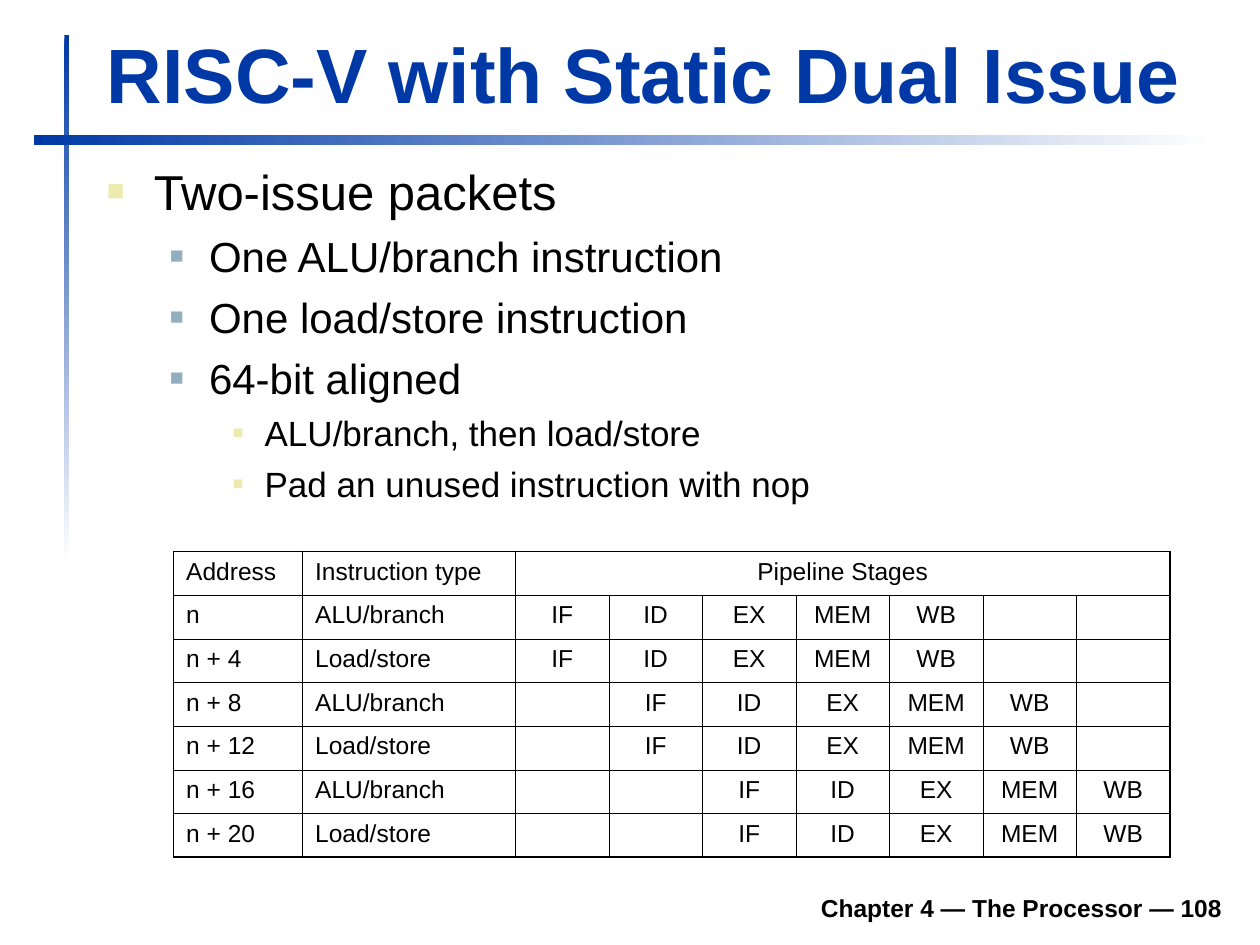
from dataclasses import dataclass

from lxml import etree
from pptx import Presentation
from pptx import util as u
from pptx.dml.color import RGBColor
from pptx.enum import shapes, text
from pptx.oxml import ns

COLORS = {
    "blue": "0039A6",
    "white": "FFFFFF",
    "black": "000000",
    "yellow": "ECEAAC",
    "steel": "91AFBF",
}
FONT = "Arial"
STAGES = ["IF", "ID", "EX", "MEM", "WB"]
STAGE_COLUMNS = 7
OUTER, HEADER, INNER = 1.08, 0.75, 0.45  # table rules in points


@dataclass
class Box:
    left: float
    top: float
    width: float
    height: float

    def lengths(self) -> list:
        return [u.Cm(n) for n in (self.left, self.top, self.width, self.height)]


@dataclass
class Bar:
    box: Box
    angle: int


@dataclass
class Level:
    size: int
    margin: float
    hanging: float
    before: int
    bullet_color: str
    bullet_percent: int


@dataclass
class Item:
    level: int
    words: str


BARS = [
    Bar(Box(1.3, 0.71, 0.1, 10.59), 270),
    Bar(Box(0.69, 2.72, 23.8, 0.2), 0),
]
LEVELS = [
    Level(28, 0.95, 0.95, 7, "yellow", 60),
    Level(24, 2.06, 0.79, 6, "steel", 55),
    Level(20, 3.18, 0.64, 5, "yellow", 50),
]
ITEMS = [
    Item(0, "Two-issue packets"),
    Item(1, "One ALU/branch instruction"),
    Item(1, "One load/store instruction"),
    Item(1, "64-bit aligned"),
    Item(2, "ALU/branch, then load/store"),
    Item(2, "Pad an unused instruction with nop"),
]


def color(name: str) -> RGBColor:
    return RGBColor.from_string(COLORS[name])


def add_element(parent, tag: str, **attributes):
    return etree.SubElement(parent, ns.qn(tag), attributes)


def add_run(paragraph, words: str, size: int, tint: str = "black", bold: bool = False) -> None:
    run = paragraph.add_run()
    run.text = words
    run.font.name = FONT
    run.font.size = u.Pt(size)
    run.font.bold = bold
    run.font.color.rgb = color(tint)


def place(shape, box: Box) -> None:
    shape.left, shape.top, shape.width, shape.height = box.lengths()


def draw_bar(slide, bar: Bar) -> None:
    shape = slide.shapes.add_shape(shapes.MSO_SHAPE.RECTANGLE, *bar.box.lengths())
    shape.shadow.inherit = False
    shape.line.fill.background()
    shape.fill.gradient()
    shape.fill.gradient_angle = bar.angle
    for stop, tint, position in zip(shape.fill.gradient_stops, ("blue", "white"), (0, 1)):
        stop.color.rgb = color(tint)
        stop.position = position


def draw_title(slide, words: str) -> None:
    title = slide.shapes.title
    place(title, Box(1.9, 0.41, 22.94, 2.11))
    frame = title.text_frame
    frame.auto_size = text.MSO_AUTO_SIZE.NONE
    frame.vertical_anchor = text.MSO_ANCHOR.BOTTOM
    paragraph = frame.paragraphs[0]
    paragraph.alignment = text.PP_ALIGN.LEFT
    add_run(paragraph, words, 44, "blue", bold=True)


def draw_list(slide, items: list[Item]) -> None:
    body = slide.placeholders[1]
    place(body, Box(1.9, 3.12, 22.96, 7.67))
    frame = body.text_frame
    frame.auto_size = text.MSO_AUTO_SIZE.NONE
    for index, item in enumerate(items):
        level = LEVELS[item.level]
        paragraph = frame.add_paragraph() if index else frame.paragraphs[0]
        paragraph.level = item.level
        properties = paragraph._p.get_or_add_pPr()
        properties.set("marL", str(u.Cm(level.margin)))
        properties.set("indent", str(-u.Cm(level.hanging)))
        bullet_color = add_element(properties, "a:buClr")
        add_element(bullet_color, "a:srgbClr", val=COLORS[level.bullet_color])
        add_element(properties, "a:buSzPct", val=str(level.bullet_percent * 1000))
        add_element(properties, "a:buFont", typeface=FONT)
        add_element(properties, "a:buChar", char="■")
        paragraph.space_before = u.Pt(level.before if index else 0)
        add_run(paragraph, item.words, level.size)


def set_borders(cell, widths: dict[str, float]) -> None:
    properties = cell._tc.get_or_add_tcPr()
    for side, width in widths.items():
        line = add_element(properties, f"a:ln{side}", w=str(u.Pt(width)))
        fill = add_element(line, "a:solidFill")
        add_element(fill, "a:srgbClr", val=COLORS["black"])


def draw_pipeline(slide) -> None:
    # Each pair of instructions starts one stage later
    rows = [["Address", "Instruction type", "Pipeline Stages"] + [""] * (STAGE_COLUMNS - 1)]
    for index in range(6):
        delay = index // 2
        address = f"n + {4 * index}" if index else "n"
        kind = "Load/store" if index % 2 else "ALU/branch"
        after = STAGE_COLUMNS - len(STAGES) - delay
        rows.append([address, kind] + [""] * delay + STAGES + [""] * after)

    widths = [u.Cm(2.6), u.Cm(4.29)] + [u.Cm(13.2) // STAGE_COLUMNS] * STAGE_COLUMNS
    height = u.Cm(0.88)
    table = slide.shapes.add_table(
        len(rows), len(widths), u.Cm(3.5), u.Cm(11.12), sum(widths), height * len(rows)
    ).table
    table.first_row = table.horz_banding = False
    for column, width in zip(table.columns, widths):
        column.width = width
    last_row, last_column = len(rows) - 1, len(widths) - 1
    table.cell(0, 2).merge(table.cell(0, last_column))

    for r, row in enumerate(rows):
        table.rows[r].height = height
        for c, words in enumerate(row):
            cell = table.cell(r, c)
            right_edge = c == last_column or cell.is_merge_origin
            set_borders(cell, {
                "L": INNER if c else OUTER,
                "R": OUTER if right_edge else INNER,
                "T": {0: OUTER, 1: HEADER}.get(r, INNER),
                "B": {0: HEADER, last_row: OUTER}.get(r, INNER),
            })
            cell.fill.background()
            paragraph = cell.text_frame.paragraphs[0]
            if words:
                paragraph.alignment = text.PP_ALIGN.CENTER if c > 1 else text.PP_ALIGN.LEFT
                add_run(paragraph, words, 14)
            else:  # keeps empty cells from stretching the row
                add_element(paragraph._p, "a:endParaRPr", sz="1400")


def draw_footer(slide, words: str) -> None:
    frame = slide.shapes.add_textbox(*Box(4.7, 17.73, 20.19, 0.99).lengths()).text_frame
    frame.word_wrap = True
    frame.vertical_anchor = text.MSO_ANCHOR.BOTTOM
    paragraph = frame.paragraphs[0]
    paragraph.alignment = text.PP_ALIGN.RIGHT
    add_run(paragraph, words, 14, bold=True)


def main() -> None:
    presentation = Presentation()
    presentation.slide_width, presentation.slide_height = u.Cm(25.4), u.Cm(19.05)
    slide = presentation.slides.add_slide(presentation.slide_layouts[1])
    for bar in BARS:
        draw_bar(slide, bar)
    draw_title(slide, "RISC-V with Static Dual Issue")
    draw_list(slide, ITEMS)
    draw_pipeline(slide)
    draw_footer(slide, "Chapter 4 — The Processor — 108")
    presentation.save("out.pptx")


if __name__ == "__main__":
    main()
